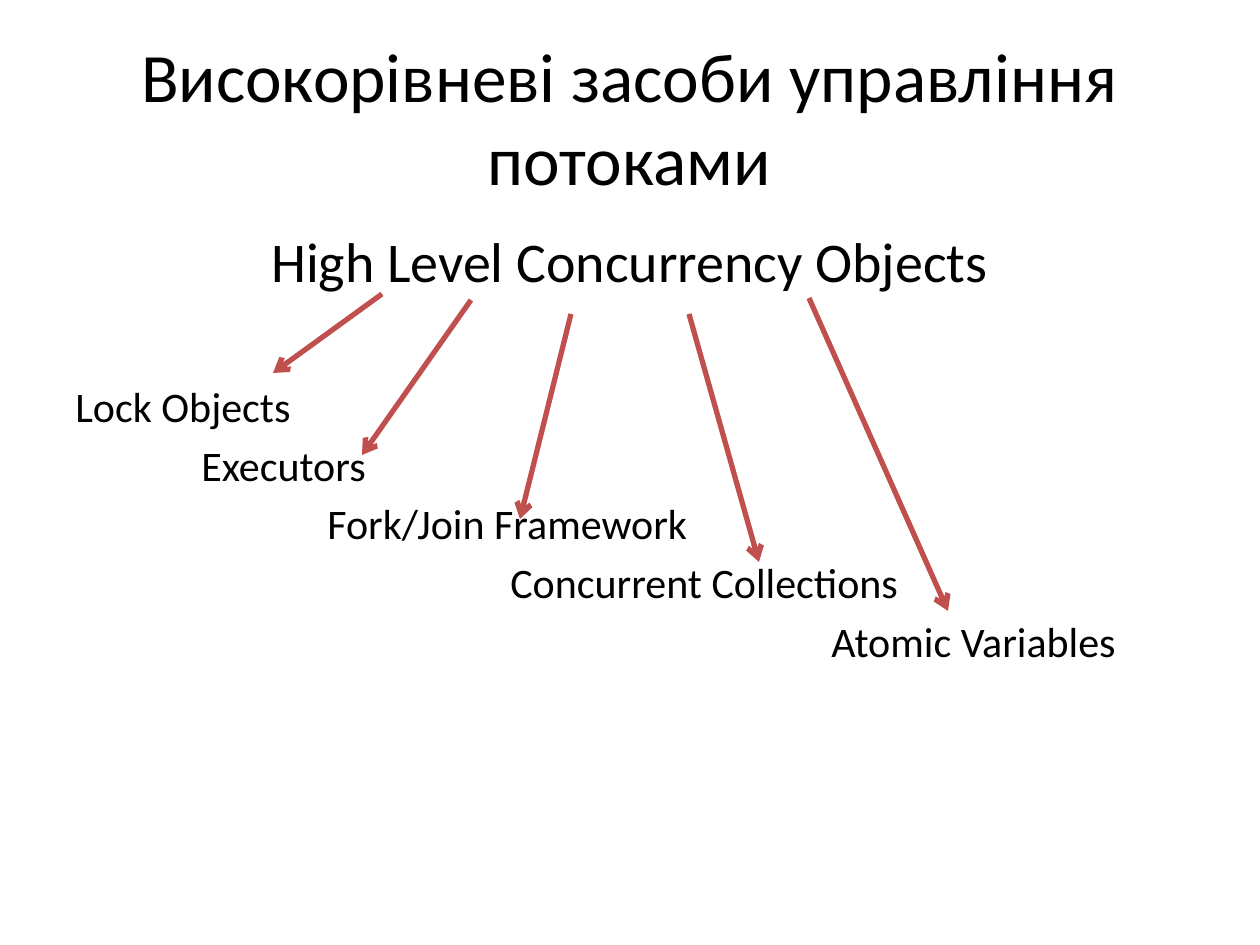
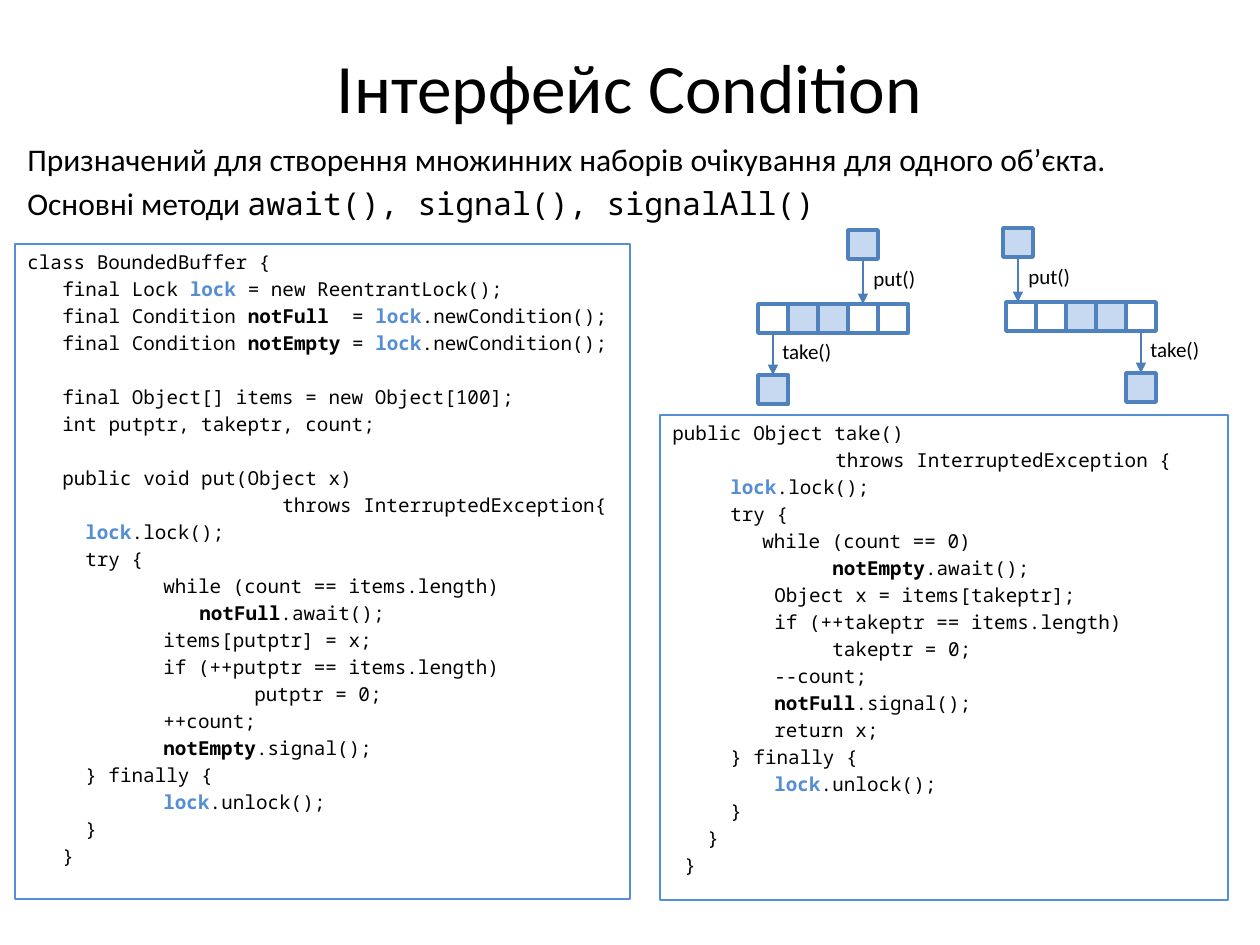
from lxml.etree import SubElement
from pptx import Presentation
from pptx.dml.color import RGBColor
from pptx.enum.shapes import MSO_CONNECTOR as Connector, MSO_SHAPE as Shape
from pptx.enum.text import MSO_ANCHOR as Anchor, PP_ALIGN as Align
from pptx.oxml.ns import qn
from pptx.util import Emu, Pt

BLACK = RGBColor(0x00, 0x00, 0x00)
WHITE = RGBColor(0xFF, 0xFF, 0xFF)
CODE_BLUE = RGBColor(0x55, 0x8E, 0xD5)
CELL_LINE = RGBColor(0x4F, 0x81, 0xBD)
CELL_FILL = RGBColor(0xC6, 0xD9, 0xF1)
FLOW_BLUE = RGBColor(0x4B, 0x7E, 0xBC)
ARROW_RED = RGBColor(0xC0, 0x50, 0x4D)

SANS, MONO = "Calibri", "Noto Sans Mono"
EMU_PER_PX = 914400 / 126
TOP, BOTTOM = 0, 2

CODE_MARKS = {
    "lock": {"bold": True, "color": CODE_BLUE},
    "notFull": {"bold": True},
    "notEmpty": {"bold": True},
}
CODE_SIZE, FIRST_GAP, CODE_GAP, BLANK_LINE = 11, 0.45, 2.2, 15.43

# Each code line: indent in px, text with marked words between asterisks.
# An empty text leaves room for one line.
BUFFER_CODE = [
    (0, "class BoundedBuffer {"),
    (35, "final Lock *lock* = new ReentrantLock();"),
    (35, "final Condition *notFull*  = *lock*.newCondition();"),
    (35, "final Condition *notEmpty* = *lock*.newCondition();"),
    (0, ""),
    (35, "final Object[] items = new Object[100];"),
    (35, "int putptr, takeptr, count;"),
    (0, ""),
    (35, "public void put(Object x)"),
    (255, "throws InterruptedException{"),
    (58, "*lock*.lock();"),
    (58, "try {"),
    (136, "while (count == items.length)"),
    (172, "*notFull*.await();"),
    (136, "items[putptr] = x;"),
    (136, "if (++putptr == items.length)"),
    (227, "putptr = 0;"),
    (136, "++count;"),
    (136, "*notEmpty*.signal();"),
    (58, "} finally {"),
    (136, "*lock*.unlock();"),
    (58, "}"),
    (35, "}"),
]
TAKE_CODE = [
    (0, "public Object take()"),
    (163, "throws InterruptedException {"),
    (58, "*lock*.lock();"),
    (58, "try {"),
    (90, "while (count == 0)"),
    (160, "*notEmpty*.await();"),
    (102, "Object x = items[takeptr];"),
    (102, "if (++takeptr == items.length)"),
    (160, "takeptr = 0;"),
    (102, "--count;"),
    (102, "*notFull*.signal();"),
    (102, "return x;"),
    (58, "} finally {"),
    (102, "*lock*.unlock();"),
    (58, "}"),
    (35, "}"),
    (12, "}"),
]


def px(length):
    return Emu(round(length * EMU_PER_PX))


def write_line(frame, text, *, size, font=SANS, color=BLACK, align=Align.LEFT,
               indent=0, before=0, marks=None):
    """Add a paragraph; pieces between asterisks take their format from marks."""
    line = frame.paragraphs[0]
    if line.runs:
        line = frame.add_paragraph()
    line.alignment = align
    line.space_before = Pt(before)
    line._p.get_or_add_pPr().set("marL", str(px(indent)))
    for piece in filter(None, text.split("*")):
        look = {"font": font, "bold": False, "color": color}
        look.update((marks or {}).get(piece, {}))
        run = line.add_run()
        run.text = piece
        run.font.name = look["font"]
        run.font.size = Pt(size)
        run.font.bold = look["bold"]
        run.font.color.rgb = look["color"]


class Deck:
    def __init__(self, width, height):
        self.prs = Presentation()
        self.prs.slide_width, self.prs.slide_height = px(width), px(height)
        self.slide = None

    def new_slide(self, title, title_height):
        self.slide = self.prs.slides.add_slide(self.prs.slide_layouts[6])
        frame = self.text_area(63, 38, 1133, title_height)
        frame.vertical_anchor = Anchor.MIDDLE
        write_line(frame, title, size=39.6, align=Align.CENTER)

    def text_area(self, x, y, width, height):
        box = self.slide.shapes.add_textbox(px(x), px(y), px(width), px(height))
        box.text_frame.word_wrap = True
        return box.text_frame

    def rect(self, x, y, width, height, *, fill, line, weight):
        rect = self.slide.shapes.add_shape(
            Shape.RECTANGLE, px(x), px(y), px(width), px(height))
        rect.shadow.inherit = False
        if fill is None:
            rect.fill.background()
        else:
            rect.fill.solid()
            rect.fill.fore_color.rgb = fill
        rect.line.color.rgb = line
        rect.line.width = Pt(weight)
        return rect

    def arrow(self, start, end, *, color, weight, head):
        arrow = self.slide.shapes.add_connector(
            Connector.STRAIGHT, *map(px, (*start, *end)))
        arrow.line.color.rgb = color
        arrow.line.width = Pt(weight)
        SubElement(arrow.line._get_or_add_ln(), qn("a:tailEnd"), type=head)
        SubElement(arrow._element.spPr, qn("a:effectLst"))
        return arrow

    def code_box(self, x, y, width, height, code):
        box = self.rect(x, y, width, height, fill=WHITE, line=CODE_BLUE, weight=1)
        frame = box.text_frame
        frame.word_wrap = True
        frame.vertical_anchor = Anchor.TOP
        before = FIRST_GAP
        for indent, text in code:
            if not text:
                before += BLANK_LINE
                continue
            write_line(frame, text, size=CODE_SIZE, font=MONO, indent=indent,
                       before=before, marks=CODE_MARKS)
            before = CODE_GAP

    def cell(self, x, y, filled=True):
        return self.rect(x, y, 30, 29, fill=CELL_FILL if filled else None,
                         line=CELL_LINE, weight=2)

    def flow(self, source, start, end):
        arrow = self.arrow(start, end, color=FLOW_BLUE, weight=0.75, head="triangle")
        arrow.begin_connect(source, BOTTOM)
        return arrow

    def queue(self, x, y, *, filled, put_x, take_index):
        """Draw five cells with an element coming in above and one going out below."""
        cells = [self.cell(x + 30 * i, y, i in filled) for i in range(5)]
        put_y, take_x, take_y = y - 74, x + 30 * take_index, y + 71

        incoming = self.cell(put_x, put_y)
        put_flow = self.flow(incoming, (put_x + 15, put_y + 29), (put_x + 15, y))
        for target in cells:
            if target.left == incoming.left:
                put_flow.end_connect(target, TOP)

        outgoing = self.cell(take_x, take_y)
        take_flow = self.flow(cells[take_index], (take_x + 15, y + 29),
                              (take_x + 15, take_y))
        take_flow.end_connect(outgoing, TOP)

        for label, left, top in (("put()", put_x + 13, put_y + 29),
                                 ("take()", take_x + 12, y + 28)):
            write_line(self.text_area(left, top, 82, 38), label, size=12)


def concurrency_objects(deck):
    deck.new_slide("Високорівневі засоби управління потоками", 156)
    frame = deck.text_area(63, 220, 1134, 624)
    write_line(frame, "High Level Concurrency Objects", size=32,
               align=Align.CENTER, before=2)
    topics = [("Lock Objects", 0), ("Executors", 126), ("Fork/Join Framework", 252),
              ("Concurrent Collections", 435), ("Atomic Variables", 756)]
    for i, (topic, indent) in enumerate(topics):
        write_line(frame, topic, size=24, indent=indent, before=4.8 if i else 49.6)
    for start, end in [((382, 294), (273, 373)), ((471, 300), (362, 455)),
                       ((571, 314), (520, 519)), ((689, 314), (759, 562)),
                       ((809, 298), (948, 611))]:
        deck.arrow(start, end, color=ARROW_RED, weight=3, head="arrow")


def condition_interface(deck):
    deck.new_slide("Інтерфейс Condition", 96)
    deck.code_box(15, 244, 615, 655, BUFFER_CODE)
    frame = deck.text_area(15, 134, 1213, 87)
    methods = "await(), signal(), signalAll()"
    lines = [("Призначений для створення множинних наборів очікування для одного об’єкта.", 1),
             (f"Основні методи *{methods}*", 3.6)]
    for text, before in lines:
        write_line(frame, text, size=18, before=before, marks={methods: {"font": MONO}})
    deck.code_box(660, 415, 568, 485, TAKE_CODE)
    deck.queue(758, 304, filled={1, 2}, put_x=848, take_index=0)
    deck.queue(1006, 302, filled={2, 3}, put_x=1003, take_index=4)


def main():
    deck = Deck(1260, 945)
    concurrency_objects(deck)
    condition_interface(deck)
    deck.prs.save("out.pptx")


if __name__ == "__main__":
    main()
